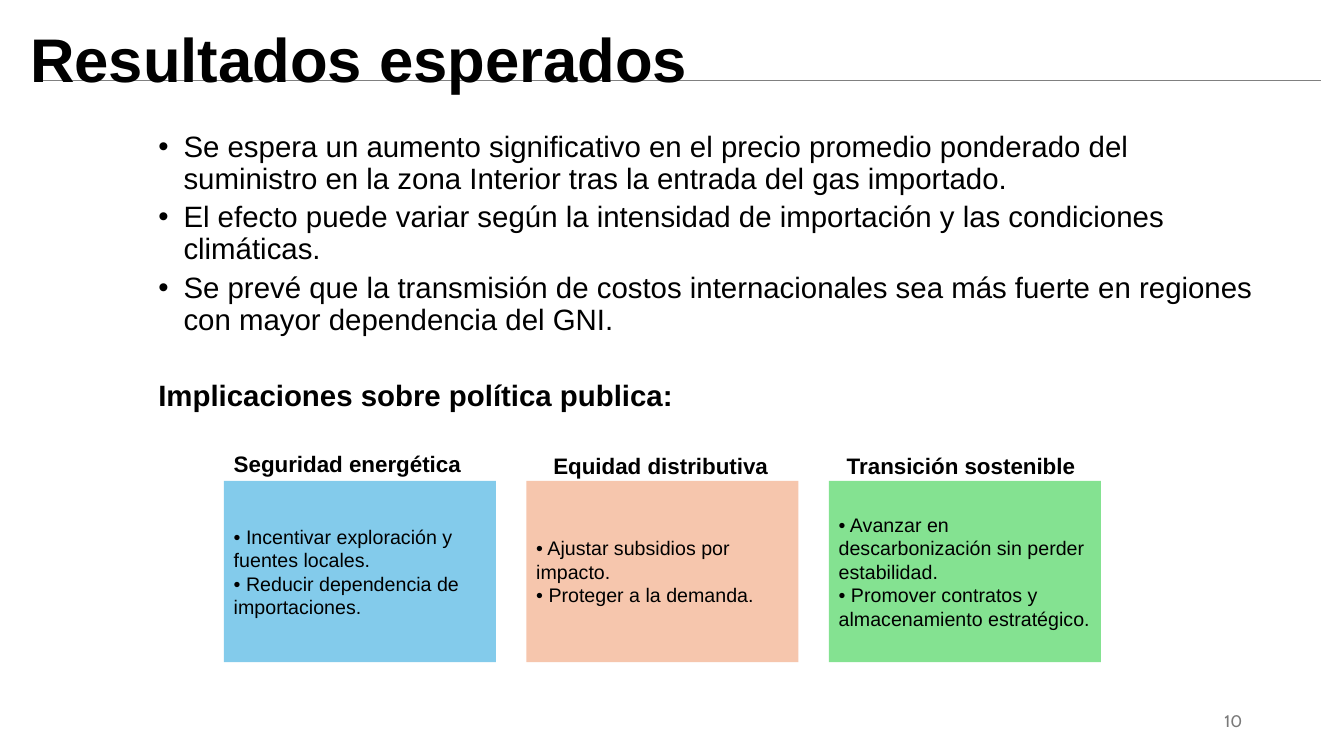
from dataclasses import dataclass

from pptx import Presentation, util as u
from pptx.dml.color import RGBColor
from pptx.enum import shapes, text
from pptx.oxml.ns import qn


@dataclass(frozen=True)
class Theme:
    font: str = "Arial"
    number_font: str = "Cabin"
    ink: str = "000000"
    rule: str = "808080"
    number_ink: str = "797979"
    title: int = 44
    body: int = 21
    heading: int = 16
    card: int = 14
    number: int = 12


THEME = Theme()
CELL = u.Inches(0.1)  # the slide is a grid of square cells
CARD_LEFT, CARD_TOP, CARD_WIDTH, CARD_HEIGHT = 22.2, 47.7, 27, 18
CARD_PITCH = CARD_WIDTH + 3

EXPECTATIONS = [
    "Se espera un aumento significativo en el precio promedio ponderado del "
    "suministro en la zona Interior tras la entrada del gas importado.",
    "El efecto puede variar según la intensidad de importación y las condiciones climáticas.",
    "Se prevé que la transmisión de costos internacionales sea más fuerte en regiones "
    "con mayor dependencia del GNI.",
]
POLICY_HEADING = "Implicaciones sobre política publica:"

# heading, heading offset (columns, rows) from the card, fill, measures
POLICIES = [
    ("Seguridad energética", (0, -3.5), "83CBEB",
     ["Incentivar exploración y fuentes locales.",
      "Reducir dependencia de importaciones."]),
    ("Equidad distributiva", (1.7, -3.3), "F6C6AD",
     ["Ajustar subsidios por impacto.",
      "Proteger a la demanda."]),
    ("Transición sostenible", (0.8, -3.3), "84E291",
     ["Avanzar en descarbonización sin perder estabilidad.",
      "Promover contratos y almacenamiento estratégico."]),
]


def grid(*cells):
    return [round(cell * CELL) for cell in cells]


def place(holder, *cells):
    holder.left, holder.top, holder.width, holder.height = grid(*cells)


def write(frame, content, size, bold=False, color=THEME.ink, font=THEME.font,
          align=text.PP_ALIGN.LEFT, anchor=text.MSO_ANCHOR.TOP):
    frame.text = content
    frame.word_wrap = True
    frame.auto_size = text.MSO_AUTO_SIZE.NONE
    frame.vertical_anchor = anchor
    for paragraph in frame.paragraphs:
        paragraph.alignment = align
        for run in paragraph.runs:
            run.font.name, run.font.size, run.font.bold = font, u.Pt(size), bold
            run.font.color.rgb = RGBColor.from_string(color)


def indent(paragraph, margin, hanging=0, bullet=None):
    """Set the left margin and hanging indent, with a bullet or none."""
    properties = paragraph._p.get_or_add_pPr()
    properties.set("marL", str(u.Inches(margin)))
    properties.set("indent", str(-u.Inches(hanging)))
    mark = properties.makeelement(qn("a:buChar" if bullet else "a:buNone"), {})
    if bullet:
        mark.set("char", bullet)
    properties.append(mark)


def add_title(slide):
    title = slide.shapes.title
    place(title, 2, 1.6, 91.2, 8.4)
    write(title.text_frame, "Resultados esperados", THEME.title, bold=True)


def add_expectations(slide):
    body = slide.placeholders[1]
    place(body, 4.7, 12.6, 120.7, 31.9)
    frame = body.text_frame
    write(frame, "\n".join(EXPECTATIONS + [POLICY_HEADING]), THEME.body)
    for paragraph in frame.paragraphs:
        paragraph.level = 2
        paragraph.line_spacing = 0.9
        paragraph.space_before = u.Pt(5)
    *expectations, heading = frame.paragraphs
    for expectation in expectations:
        indent(expectation, 1.25, 0.25, "•")
    heading.space_before = u.Pt(32)
    heading.runs[0].font.bold = True
    indent(heading, 1)


def add_rule(slide):
    """Draw the thin line that runs behind the title."""
    rule = slide.shapes.add_connector(
        shapes.MSO_CONNECTOR.STRAIGHT, *grid(3.5, 8, 131, 8))
    rule.line.color.rgb = RGBColor.from_string(THEME.rule)
    rule.line.width = u.Pt(0.5)
    properties = rule._element.spPr
    properties.append(properties.makeelement(qn("a:effectLst"), {}))
    slide.shapes.title._element.addprevious(rule._element)


def add_label(slide, cells, content, size, **style):
    label = slide.shapes.add_textbox(*grid(*cells))
    write(label.text_frame, content, size, **style)


def add_policy(slide, index, heading, offset, fill, measures):
    left = CARD_LEFT + index * CARD_PITCH
    card = slide.shapes.add_shape(
        shapes.MSO_SHAPE.RECTANGLE, *grid(left, CARD_TOP, CARD_WIDTH, CARD_HEIGHT))
    card.shadow.inherit = False
    card.fill.solid()
    card.fill.fore_color.rgb = RGBColor.from_string(fill)
    card.line.fill.background()
    write(card.text_frame, "\n".join(f"• {measure}" for measure in measures),
          THEME.card, anchor=text.MSO_ANCHOR.MIDDLE)
    column, row = offset
    add_label(slide, (left + column, CARD_TOP + row, CARD_WIDTH - 2 * column, 3.7),
              heading, THEME.heading, bold=True)


def main():
    deck = Presentation()
    deck.slide_width, deck.slide_height = u.Inches(13.33), u.Inches(7.5)
    slide = deck.slides.add_slide(deck.slide_layouts[1])
    add_title(slide)
    add_expectations(slide)
    add_rule(slide)
    for index, policy in enumerate(POLICIES):
        add_policy(slide, index, *policy)
    add_label(slide, (94.2, 69.5, 30, 4), "10", THEME.number,
              color=THEME.number_ink, font=THEME.number_font,
              align=text.PP_ALIGN.RIGHT, anchor=text.MSO_ANCHOR.MIDDLE)
    deck.save("out.pptx")


if __name__ == "__main__":
    main()
